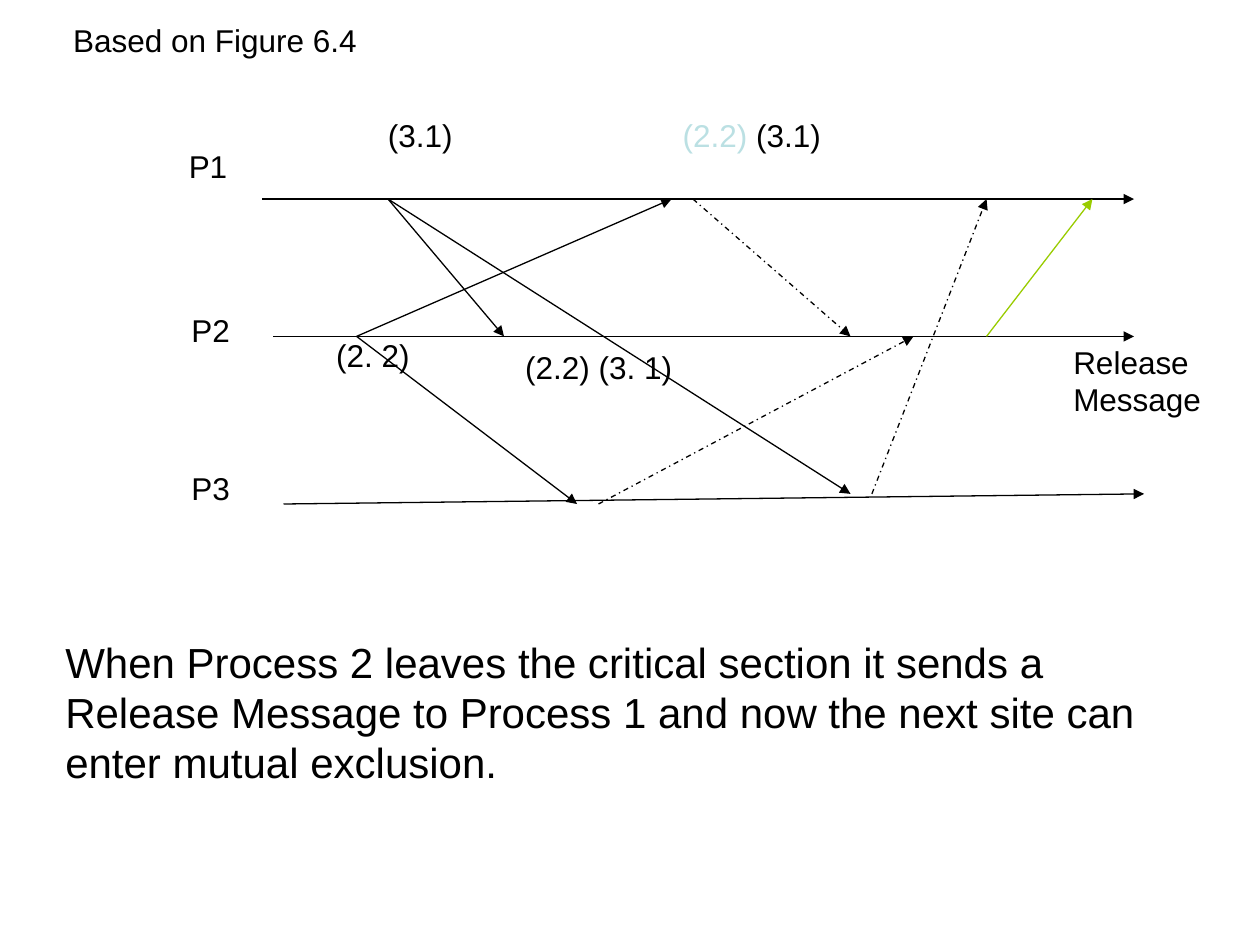
from dataclasses import dataclass

from lxml.etree import SubElement
from pptx import Presentation
from pptx.dml.color import RGBColor
from pptx.enum.dml import MSO_LINE
from pptx.enum.shapes import MSO_CONNECTOR
from pptx.enum.text import MSO_ANCHOR, MSO_AUTO_SIZE, PP_ALIGN
from pptx.oxml.ns import qn
from pptx.util import Emu, Pt

PX = 9144  # EMU per px, 100 px to the inch
FONT = "Arial"
COLORS = {"ink": "000000", "served": "BBE0E3", "release": "99CC00"}

# Heights of the process timelines
P1_Y, P2_Y, P3_Y, P3_END_Y = 158, 267, 400, 392


@dataclass(frozen=True)
class Arrow:
    x1: int
    y1: int
    x2: int
    y2: int
    color: str = "ink"
    dashed: bool = False


@dataclass(frozen=True)
class Label:
    left: int
    top: int
    width: int
    height: int
    lines: tuple  # each line is a tuple of (text, color) runs
    size: int = 18
    wrap: bool = False


def ink(*lines: str) -> tuple:
    return tuple(((line, "ink"),) for line in lines)


TIMELINES = [
    Arrow(208, P1_Y, 900, P1_Y),
    Arrow(217, P2_Y, 900, P2_Y),
    Arrow(225, P3_Y, 908, P3_END_Y),
]
REQUESTS = [
    Arrow(308, P1_Y, 400, P2_Y),
    Arrow(308, P1_Y, 675, P3_END_Y),
    Arrow(283, P2_Y, 533, P1_Y),
    Arrow(283, P2_Y, 458, P3_Y),
]
REPLIES = [
    Arrow(550, P1_Y, 675, P2_Y, dashed=True),
    Arrow(475, P3_Y, 725, P2_Y, dashed=True),
    Arrow(692, P3_END_Y, 783, P1_Y, dashed=True),
]
RELEASE = Arrow(783, P2_Y, 867, P1_Y, color="release")

HEADING = Label(48, 12, 248, 40, ink("Based on Figure 6.4"))
LABELS = [
    Label(140, 112, 53, 40, ink("P1")),
    Label(142, 242, 53, 40, ink("P2")),
    Label(142, 367, 53, 40, ink("P3")),
    Label(532, 87, 133, 40, ((("(2.2)", "served"), (" (3.1)", "ink")),)),
    Label(298, 87, 74, 40, ink("(3.1)")),
    Label(257, 262, 81, 40, ink("(2. 2)")),
    Label(407, 271, 139, 40, ink("(2.2) (3. 1)")),
    Label(842, 267, 124, 70, ink("Release", "Message")),
    Label(42, 500, 917, 170, ink(
        "When Process 2 leaves the critical section it sends a Release Message "
        "to Process 1 and now the next site can enter mutual exclusion."),
        size=24, wrap=True),
]


def draw_arrow(slide, arrow: Arrow) -> None:
    ends = (Emu(v * PX) for v in (arrow.x1, arrow.y1, arrow.x2, arrow.y2))
    connector = slide.shapes.add_connector(MSO_CONNECTOR.STRAIGHT, *ends)
    line = connector.line
    line.width = Pt(0.75)
    line.color.rgb = RGBColor.from_string(COLORS[arrow.color])
    if arrow.dashed:
        line.dash_style = MSO_LINE.DASH_DOT
    # Arrowhead, and no shadow
    properties = connector._element.spPr
    SubElement(properties.find(qn("a:ln")), qn("a:tailEnd"), type="triangle")
    SubElement(properties, qn("a:effectLst"))


def fill_label(shape, label: Label) -> None:
    shape.left, shape.top = Emu(label.left * PX), Emu(label.top * PX)
    shape.width, shape.height = Emu(label.width * PX), Emu(label.height * PX)
    frame = shape.text_frame
    frame.word_wrap = label.wrap
    frame.auto_size = MSO_AUTO_SIZE.SHAPE_TO_FIT_TEXT
    frame.vertical_anchor = MSO_ANCHOR.TOP
    for index, line in enumerate(label.lines):
        paragraph = frame.add_paragraph() if index else frame.paragraphs[0]
        paragraph.alignment = PP_ALIGN.LEFT
        paragraph.line_spacing = Pt(label.size * 1.2)
        for text, color in line:
            run = paragraph.add_run()
            run.text = text
            run.font.name = FONT
            run.font.size = Pt(label.size)
            run.font.color.rgb = RGBColor.from_string(COLORS[color])


def main() -> None:
    presentation = Presentation()
    presentation.slide_width = Emu(1000 * PX)
    presentation.slide_height = Emu(750 * PX)
    title_only = presentation.slide_layouts[5]
    slide = presentation.slides.add_slide(title_only)

    # Heading
    fill_label(slide.shapes.title, HEADING)

    # Timelines and the messages between them
    for arrow in [*TIMELINES, *REQUESTS, *REPLIES, RELEASE]:
        draw_arrow(slide, arrow)

    # Process names, request queues and explanation
    for label in LABELS:
        fill_label(slide.shapes.add_textbox(0, 0, 0, 0), label)

    presentation.save("out.pptx")


if __name__ == "__main__":
    main()
